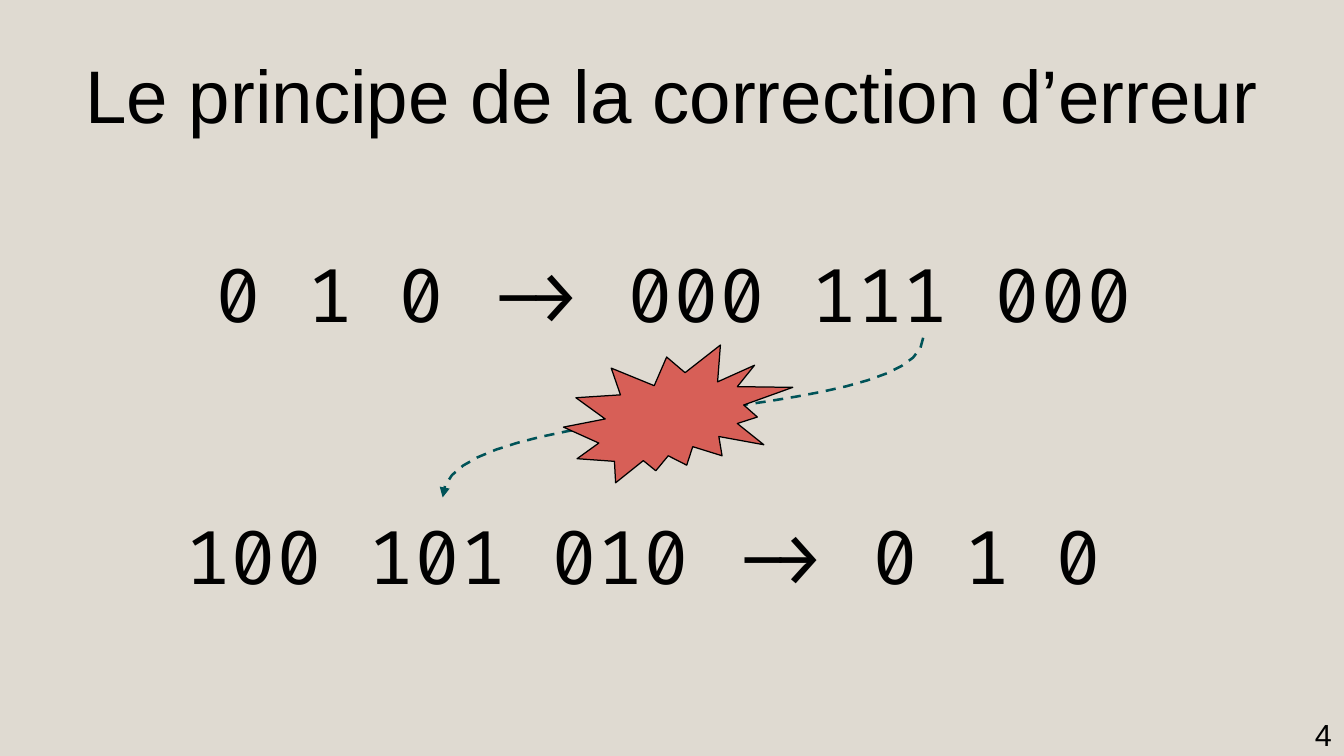
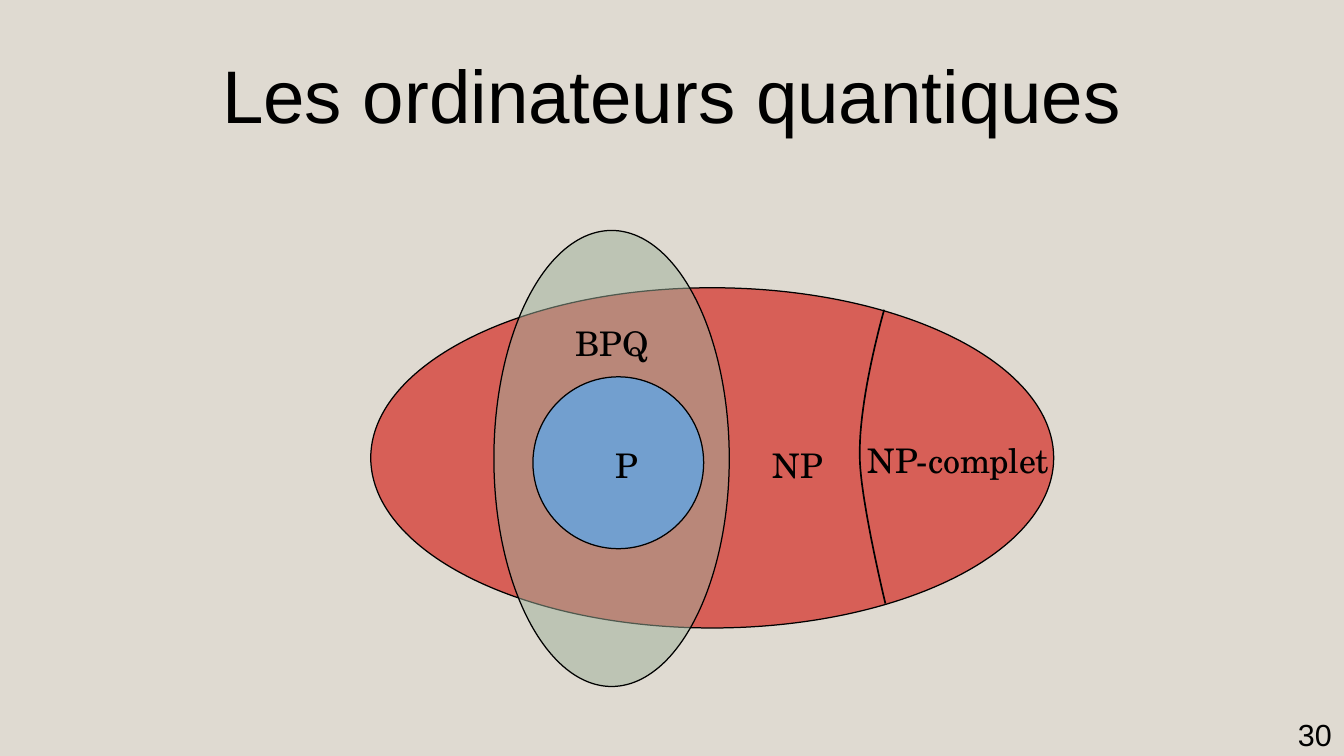
from lxml import etree
from pptx import Presentation
from pptx import util as u
from pptx.dml.color import RGBColor
from pptx.enum import dml, shapes, text
from pptx.oxml.ns import qn

COLOURS = {"paper": "DFDAD1", "ink": "000000", "red": "D75F57",
           "sage": "9DAF9A", "blue": "729FCF", "teal": "005358"}
TITLE = {"size": u.Pt(44), "name": "Arial"}
BITS = {"size": u.Pt(44), "name": "Fira Code"}
NUMBER = {"size": u.Pt(18), "name": "Arial"}
LABEL = {"size": u.Pt(20), "name": "TeX Gyre Schola"}
STEPS = 24


def colour(target, name):
    """Give a fill or font colour a named shade."""
    target.rgb = RGBColor.from_string(COLOURS[name])


def set_all(target, values):
    """Set every attribute listed in values."""
    for key, value in values.items():
        setattr(target, key, value)


def add_text(slide, box, words, style, align=text.PP_ALIGN.CENTER):
    """Write one vertically centred line of text in a box."""
    frame = slide.shapes.add_textbox(*map(u.Inches, box)).text_frame
    set_all(frame, {"word_wrap": True, "vertical_anchor": text.MSO_ANCHOR.MIDDLE,
                    "margin_left": 0, "margin_right": 0,
                    "margin_top": 0, "margin_bottom": 0})
    paragraph = frame.paragraphs[0]
    paragraph.alignment = align
    run = paragraph.add_run()
    run.text = words
    set_all(run.font, style)
    colour(run.font.color, "ink")


def add_area(slide, kind, box, fill, opacity=100):
    """Draw a filled shape with a hairline outline."""
    area = slide.shapes.add_shape(kind, *map(u.Inches, box))
    area.shadow.inherit = False
    area.fill.solid()
    colour(area.fill.fore_color, fill)
    colour(area.line.color, "ink")
    area.line.width = 0
    if opacity < 100:
        shade = area.fill._xPr.find(qn("a:solidFill"))[0]
        etree.SubElement(shade, qn("a:alpha"), val=str(opacity * 1000))


def bezier(a, b, c, d):
    """Return points along a cubic curve, without its start."""
    points = []
    for step in range(1, STEPS + 1):
        t = step / STEPS
        weights = ((1 - t) ** 3, 3 * t * (1 - t) ** 2, 3 * t * t * (1 - t), t ** 3)
        points.append(tuple(sum(w * p[axis] for w, p in zip(weights, (a, b, c, d)))
                            for axis in (0, 1)))
    return points


def add_curve(slide, left, top, curves, name, width):
    """Draw an open line through cubic curves given relative to a corner."""
    points = [curves[0][0]] + [point for curve in curves for point in bezier(*curve)]
    placed = [(u.Inches(left + x), u.Inches(top + y)) for x, y in points]
    builder = slide.shapes.build_freeform(*placed[0])
    builder.add_line_segments(placed[1:], close=False)
    curve = builder.convert_to_shape()
    curve.shadow.inherit = False
    curve.fill.background()
    colour(curve.line.color, name)
    curve.line.width = u.Pt(width)
    return curve


def add_slide(prs, title, number):
    """Start a slide with its title and page number."""
    slide = prs.slides.add_slide(prs.slide_layouts[6])
    add_text(slide, (0.55, 0.25, 9.92, 1.04), title, TITLE)
    add_text(slide, (9.79, 5.88, 1.13, 0.28), number, NUMBER, text.PP_ALIGN.RIGHT)
    return slide


def add_noisy_channel(slide, left, top):
    """Draw the dashed arrow and the burst of noise across it."""
    arrow = add_curve(slide, left, top,
                      [((3.94, 0), (3.91, 0.73), (0, 0.49), (0, 1.31))], "teal", 1.5)
    arrow.line.dash_style = dml.MSO_LINE.DASH
    etree.SubElement(arrow.line._get_or_add_ln(), qn("a:tailEnd"), type="triangle")
    add_area(slide, shapes.MSO_SHAPE.EXPLOSION2,
             (left + 0.99, top + 0.06, 1.88, 1.13), "red")


def add_complexity_classes(slide, left, top):
    """Draw the nested complexity classes with their labels."""
    for x, y, width, height, fill, opacity in (
            (0, 0.47, 5.6, 2.79, "red", 100),
            (1.01, 0, 1.93, 3.74, "sage", 51),
            (1.33, 1.2, 1.4, 1.41, "blue", 100)):
        add_area(slide, shapes.MSO_SHAPE.OVAL,
                 (left + x, top + y, width, height), fill, opacity)
    upper, middle, lower = (4.21, 0.65), (4.01, 1.85), (4.22, 3.06)
    add_curve(slide, left, top, [(upper, upper, (4, 1.38), middle),
                                 (middle, (4.01, 2.19), lower, lower)], "ink", 1)
    width, height = 2, 0.5
    for words, x, y in (("NP", 3.5, 1.92), ("P", 2.1, 1.92),
                        ("BPQ", 1.98, 0.92), ("NP-complet", 4.82, 1.88)):
        add_text(slide, (left + x - width / 2, top + y - height / 2, width, height),
                 words, LABEL)


def main():
    """Build and save the two slides."""
    prs = Presentation()
    set_all(prs, {"slide_width": u.Inches(11.02), "slide_height": u.Inches(6.2)})
    backdrop = prs.slide_master.background.fill
    backdrop.solid()
    colour(backdrop.fore_color, "paper")

    correction = add_slide(prs, "Le principe de la correction d’erreur", "4")
    add_text(correction, (0.57, 1.88, 9.92, 1.04), "0 1 0 -> 000 111 000", BITS)
    add_text(correction, (0.51, 4.03, 9.92, 1.04), "100 101 010 -> 0 1 0 ", BITS)
    add_noisy_channel(correction, 3.63, 2.77)

    quantum = add_slide(prs, "Les ordinateurs quantiques", "30")
    add_complexity_classes(quantum, 3.04, 1.89)
    prs.save("out.pptx")


if __name__ == "__main__":
    main()
